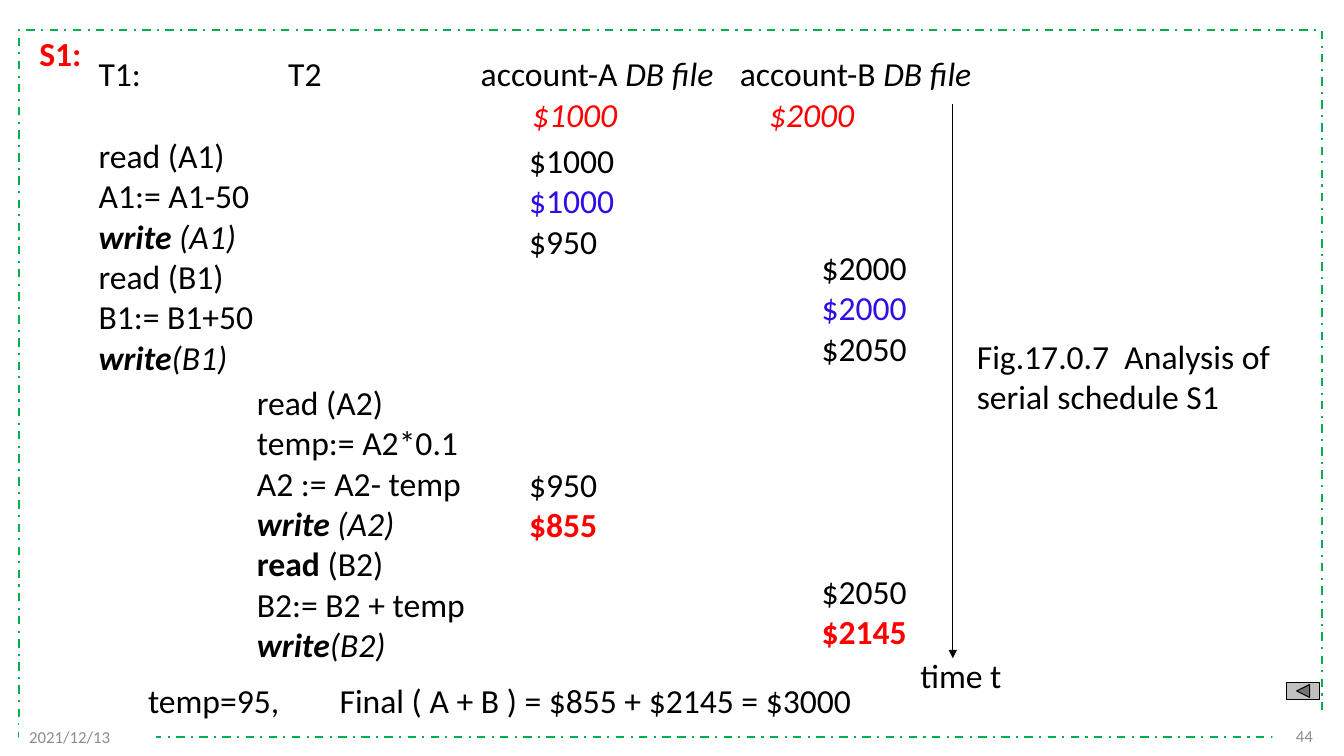
from pptx import Presentation
from pptx.dml.color import RGBColor
from pptx.enum.dml import MSO_LINE
from pptx.enum.shapes import MSO_CONNECTOR, MSO_SHAPE
from pptx.enum.text import MSO_ANCHOR, MSO_AUTO_SIZE, PP_ALIGN
from pptx.oxml.ns import qn
from pptx.util import Inches, Pt
from lxml.etree import SubElement

BLACK, RED, BLUE, GREY = "000000", "FF0000", "2D0EE4", "8C8C8C"
LINE_HEIGHT = 0.4

T1_STEPS = [
    [("read (A1)", "")],
    [("A1:= A1-50", "")],
    [("write", "bi"), (" (A1)", "i")],
    [("read (B1)", "")],
    [("B1:= B1+50", "")],
    [("write", "bi"), ("(B1)", "i")],
]
T2_STEPS = [
    [("read (A2)", "")],
    [("temp:= A2*0.1", "")],
    [("A2 := A2- temp", "")],
    [("write ", "bi"), ("(A2)", "i")],
    [("read", "b"), (" (B2)", "")],
    [("B2:= B2 + temp", "")],
    [("write", "bi"), ("(B2)", "i")],
]


def rgb(value):
    return RGBColor.from_string(value)


def write_text(frame, lines, size=24, color=BLACK, align=PP_ALIGN.LEFT,
               anchor=MSO_ANCHOR.TOP):
    frame.word_wrap = True
    frame.auto_size = MSO_AUTO_SIZE.NONE
    frame.vertical_anchor = anchor
    for index, runs in enumerate(lines):
        paragraph = frame.add_paragraph() if index else frame.paragraphs[0]
        paragraph.alignment = align
        for text, style, *run_color in runs:
            run = paragraph.add_run()
            run.text = text
            run.font.name = "Calibri"
            run.font.size = Pt(size)
            run.font.bold = "b" in style
            run.font.italic = "i" in style
            run.font.color.rgb = rgb(run_color[0] if run_color else color)


def add_text(slide, left, top, width, lines, **text_format):
    if isinstance(lines, str):
        lines = [[(lines, "")]]
    height = LINE_HEIGHT * len(lines) + 0.1
    box = slide.shapes.add_textbox(
        Inches(left), Inches(top), Inches(width), Inches(height))
    write_text(box.text_frame, lines, **text_format)


def add_block(slide, preset, left, top, width, height, fill=None, line=None,
              weight=0.75):
    block = slide.shapes.add_shape(
        preset, Inches(left), Inches(top), Inches(width), Inches(height))
    block.shadow.inherit = False
    if fill:
        block.fill.solid()
        block.fill.fore_color.rgb = rgb(fill)
    else:
        block.fill.background()
    if line:
        block.line.color.rgb = rgb(line)
        block.line.width = Pt(weight)
    else:
        block.line.fill.background()
    return block


def add_footer(slide, left, top, width, text, align):
    footer = add_block(slide, MSO_SHAPE.RECTANGLE, left, top, width, 0.4, "FFFFFF")
    write_text(footer.text_frame, [[(text, "")]], size=12, color=GREY,
               align=align, anchor=MSO_ANCHOR.MIDDLE)


def add_time_arrow(slide, x, top, bottom):
    arrow = slide.shapes.add_connector(
        MSO_CONNECTOR.STRAIGHT, Inches(x), Inches(top), Inches(x), Inches(bottom))
    arrow.line.color.rgb = rgb(BLACK)
    arrow.line.width = Pt(0.75)
    SubElement(arrow.line._get_or_add_ln(), qn("a:tailEnd"), type="triangle")
    SubElement(arrow._element.spPr, qn("a:effectLst"))


def add_schedule_title(slide, text):
    title = slide.shapes.title
    title.left, title.top = Inches(0.29), Inches(0.28)
    title.width, title.height = Inches(0.8), Inches(0.5)
    write_text(title.text_frame, [[(text, "b")]], color=RED)


def add_account(slide, name, name_left, balance, balance_left):
    add_text(slide, name_left, 0.48, 2.6, [[(f"account-{name} ", ""), ("DB file", "i")]])
    add_text(slide, balance_left, 0.88, 1.2, [[(balance, "i")]], color=RED)


def add_balances(slide, left, first_top, first, second_top, second):
    read, computed, written = first
    add_text(slide, left, first_top, 1.2,
             [[(read, "")], [(computed, "", BLUE)], [(written, "")]])
    reread, final = second
    add_text(slide, left, second_top, 1.2, [[(reread, "")], [(final, "b", RED)]])


def main():
    deck = Presentation()
    deck.slide_width, deck.slide_height = Inches(13.33), Inches(7.5)
    slide = deck.slides.add_slide(deck.slide_layouts[5])

    frame = add_block(slide, MSO_SHAPE.RECTANGLE, 0.19, 0.3, 12.92, 7.01,
                      line="00B050", weight=1.5)
    frame.line.dash_style = MSO_LINE.DASH_DOT
    add_footer(slide, 12.62, 7.1, 0.5, "44", PP_ALIGN.RIGHT)
    add_footer(slide, 0.19, 7.11, 1.36, "2021/12/13", PP_ALIGN.LEFT)

    add_schedule_title(slide, "S1:")
    add_text(slide, 0.88, 0.48, 1, "T1:")
    add_text(slide, 2.76, 0.48, 1, "T2")
    add_text(slide, 0.88, 1.29, 2, T1_STEPS)
    add_text(slide, 2.45, 3.74, 2.5, T2_STEPS)

    add_account(slide, "A", 4.67, "$1000", 5.18)
    add_account(slide, "B", 7.24, "$2000", 7.53)
    add_balances(slide, 5.15, 1.34, ("$1000", "$1000", "$950"), 4.55, ("$950", "$855"))
    add_balances(slide, 8.05, 2.4, ("$2000", "$2000", "$2050"), 5.61, ("$2050", "$2145"))

    add_text(slide, 1.37, 6.7, 1.7, "temp=95,")
    add_text(slide, 3.27, 6.7, 5.6, "Final ( A + B ) = $855 + $2145 = $3000")
    add_text(slide, 9.59, 3.28, 3.53, [[("Fig.17.0.7  Analysis of serial schedule S1", "")]])
    add_time_arrow(slide, 9.45, 1.03, 6.53)
    add_text(slide, 9.03, 6.45, 1.2, "time t")
    add_block(slide, MSO_SHAPE.ACTION_BUTTON_BACK_OR_PREVIOUS, 12.76, 6.77, 0.33, 0.17,
              "C0C0C0", BLACK)

    deck.save("out.pptx")


if __name__ == "__main__":
    main()
